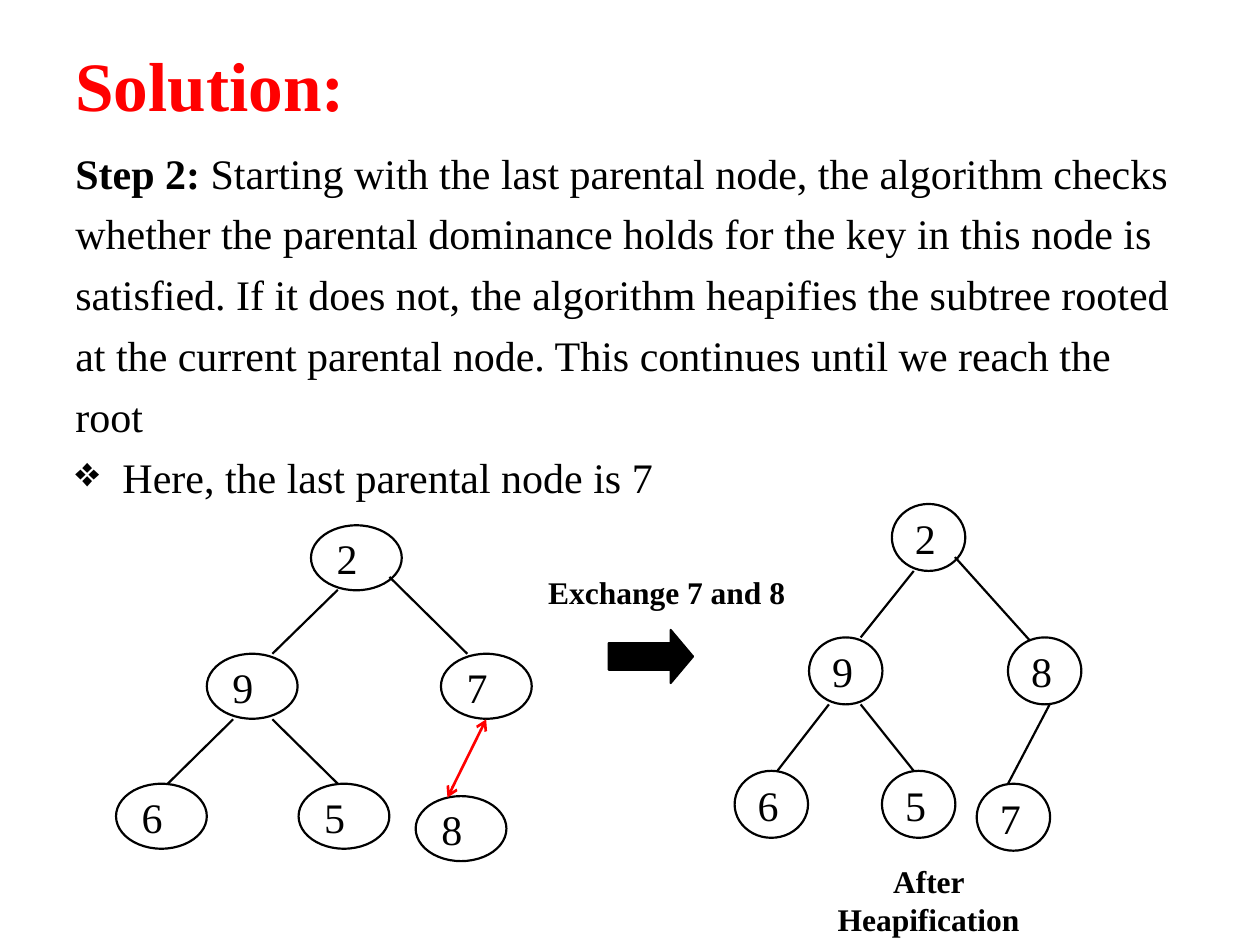
from lxml import etree
from pptx import Presentation
from pptx.dml.color import RGBColor
from pptx.enum.shapes import MSO_CONNECTOR, MSO_SHAPE
from pptx.enum.text import MSO_ANCHOR, PP_ALIGN
from pptx.oxml.ns import qn
from pptx.util import Cm, Pt

OVAL, ARROW = MSO_SHAPE.OVAL, MSO_SHAPE.RIGHT_ARROW
LINE = MSO_CONNECTOR.STRAIGHT
LEFT, MID, JUST = PP_ALIGN.LEFT, PP_ALIGN.CENTER, PP_ALIGN.JUSTIFY
TOP, CENTER = MSO_ANCHOR.TOP, MSO_ANCHOR.MIDDLE
BLACK, RED = RGBColor(0, 0, 0), RGBColor(255, 0, 0)
FONT = "Times New Roman"

TITLE = "Solution:"
BODY = [
    [("Step 2: ", True),
     ("Starting with the last parental node, the algorithm checks", False)],
    "whether the parental dominance holds for the key in this node is",
    "satisfied. If it does not, the algorithm heapifies the subtree rooted",
    "at the current parental node. This continues until we reach the",
    "root",
    "Here, the last parental node is 7",
]
LABELS = [
    ("After Heapification", (16.08, 17.25, 5.28, 1.8)),
    ("Exchange 7 and 8", (10.64, 11.43, 5.6, 1.07)),
]
TREES = [
    {
        "size": (1.83, 1.31),
        "nodes": [("2", 6.27, 10.59), ("9", 4.17, 13.18), ("7", 8.89, 13.18),
                  ("6", 2.34, 15.8), ("5", 6.02, 15.8), ("8", 8.38, 16.05)],
        "edges": [(6.81, 11.89, 5.49, 13.18), (7.85, 11.63, 9.42, 13.18),
                  (4.7, 14.5, 3.38, 15.8), (5.49, 14.5, 6.81, 15.8)],
    },
    {
        "size": (1.48, 1.35),
        "nodes": [("2", 17.98, 10.16), ("9", 16.31, 12.85), ("8", 20.32, 12.85),
                  ("6", 14.81, 15.54), ("5", 17.78, 15.54), ("7", 19.69, 15.8)],
        "edges": [(18.42, 11.51, 17.35, 12.85), (19.25, 11.23, 20.75, 12.9),
                  (16.71, 14.2, 15.67, 15.54), (17.35, 14.2, 18.42, 15.54),
                  (21.16, 14.2, 20.32, 15.8)],
    },
]
SWAP = (9.8, 14.5, 9.02, 16.08)
BLOCK = (12.27, 12.7, 1.7, 1.07)


def write(shape, lines, size=24, color=BLACK, bold=False, align=LEFT,
          anchor=TOP, gap=0):
    frame = shape.text_frame
    frame.word_wrap = True
    frame.vertical_anchor = anchor
    for i, line in enumerate(lines):
        para = frame.add_paragraph() if i else frame.paragraphs[0]
        para.alignment = align
        para.space_before = Pt(gap if i else 0)
        for text, heavy in [(line, bold)] if isinstance(line, str) else line:
            run = para.add_run()
            run.text = text
            font = run.font
            font.name, font.size, font.bold = FONT, Pt(size), heavy
            font.color.rgb = color
    return frame


def box(slide, place, lines, **style):
    return write(slide.shapes.add_textbox(*map(Cm, place)), lines, **style)


def draw(slide, kind, place, fill=None):
    shape = slide.shapes.add_shape(kind, *map(Cm, place))
    shape.shadow.inherit = False
    if fill is None:
        shape.fill.background()
    else:
        shape.fill.solid()
        shape.fill.fore_color.rgb = fill
    shape.line.color.rgb = BLACK
    shape.line.width = Pt(1.25)
    return shape


def link(slide, ends, color=BLACK, width=1.25, heads=False):
    edge = slide.shapes.add_connector(LINE, *map(Cm, ends))
    edge.line.color.rgb = color
    edge.line.width = Pt(width)
    if heads:
        for tag in ("a:headEnd", "a:tailEnd"):
            etree.SubElement(edge.line._get_or_add_ln(), qn(tag), type="arrow")
    etree.SubElement(edge._element.spPr, qn("a:effectLst"))


def hang(para):
    props = para._p.get_or_add_pPr()
    props.set("marL", str(Cm(0.95)))
    props.set("indent", str(-Cm(0.95)))
    etree.SubElement(props, qn("a:buChar"), char="❖")


def main():
    deck = Presentation()
    deck.slide_width, deck.slide_height = Cm(25.4), Cm(19.05)
    slide = deck.slides.add_slide(deck.slide_layouts[6])

    box(slide, (1.27, 0.72, 22.86, 1.9), [TITLE], size=39.6, color=RED, bold=True)
    body = box(slide, (1.27, 2.84, 22.86, 7.2), BODY, align=JUST, gap=6)
    hang(body.paragraphs[-1])

    for tree in TREES:
        for key, x, y in tree["nodes"]:
            node = draw(slide, OVAL, (x, y, *tree["size"]))
            write(node, [key], align=JUST, anchor=CENTER)
        for ends in tree["edges"]:
            link(slide, ends)

    link(slide, SWAP, color=RED, width=1.5, heads=True)
    arrow = draw(slide, ARROW, BLOCK, fill=BLACK)
    arrow.adjustments[0], arrow.adjustments[1] = 0.5, 0.42
    for text, place in LABELS:
        box(slide, place, [text], size=18, bold=True, align=MID)

    deck.save("out.pptx")


if __name__ == "__main__":
    main()
